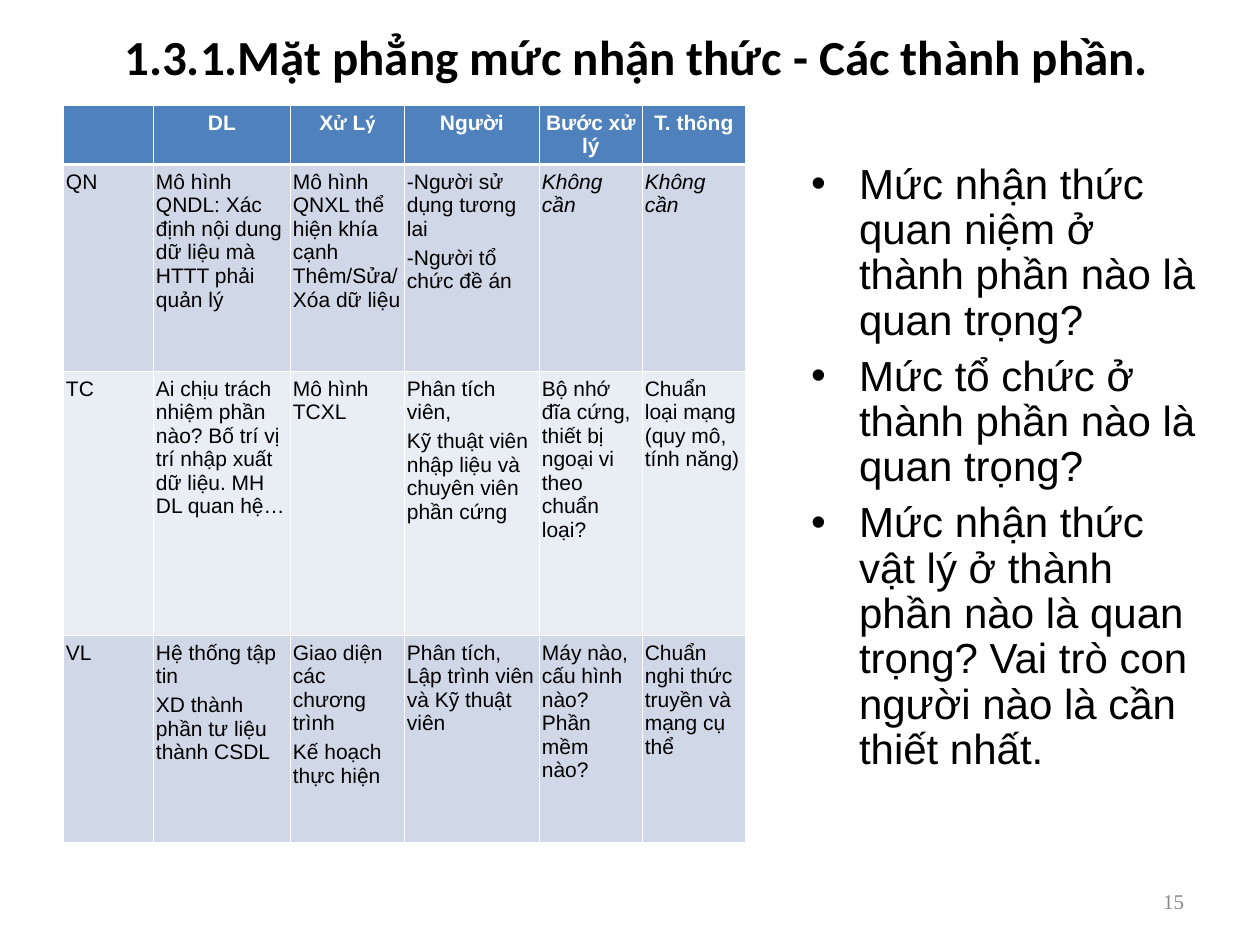
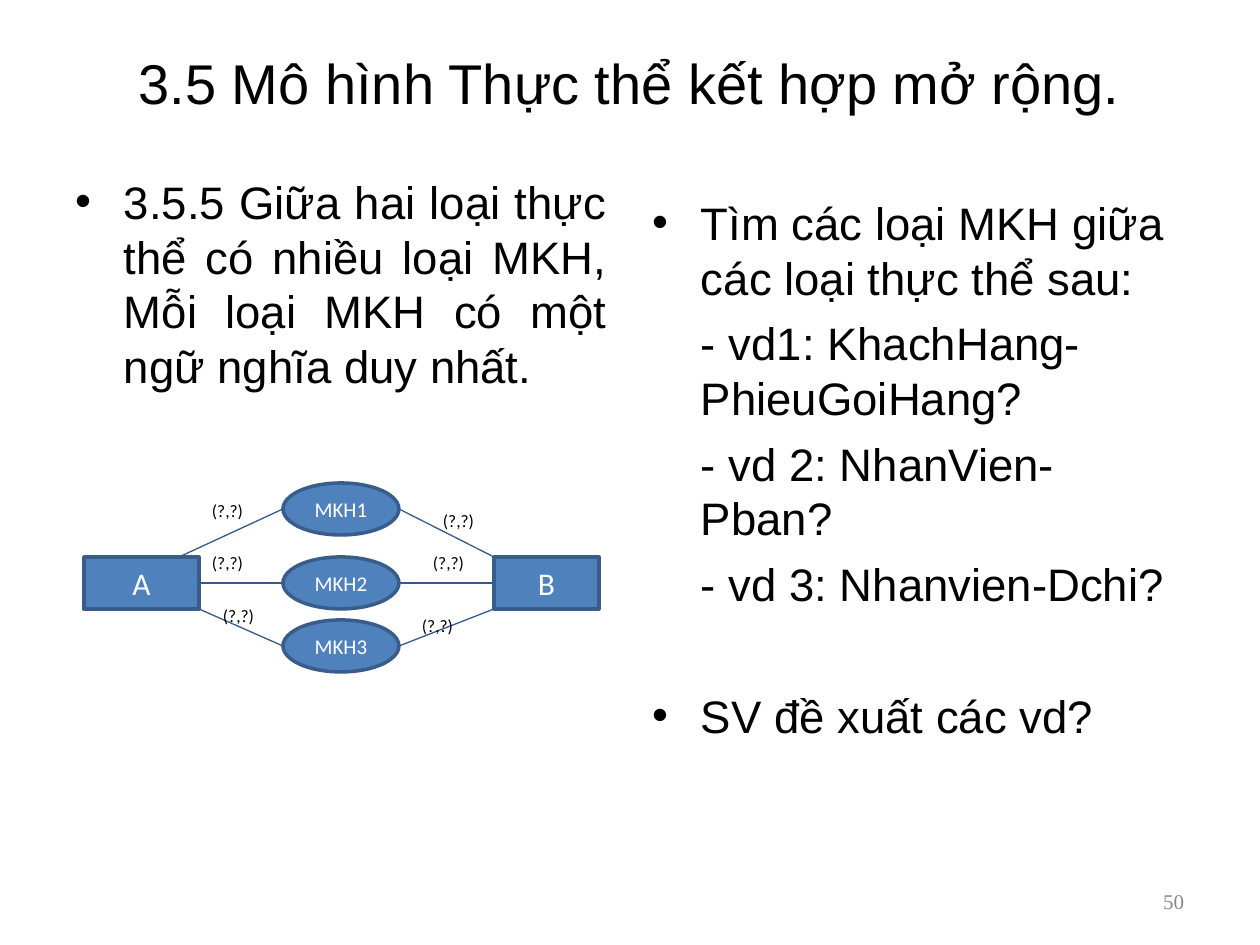
from lxml import etree
from pptx import Presentation
from pptx.dml.color import RGBColor
from pptx.enum.shapes import MSO_CONNECTOR, MSO_SHAPE
from pptx.enum.text import MSO_ANCHOR, PP_ALIGN
from pptx.oxml.ns import qn
from pptx.util import Emu, Pt

LEFT, CENTER, RIGHT, JUSTIFY = PP_ALIGN.LEFT, PP_ALIGN.CENTER, PP_ALIGN.RIGHT, PP_ALIGN.JUSTIFY
TOP, MIDDLE = MSO_ANCHOR.TOP, MSO_ANCHOR.MIDDLE
RECTANGLE, ELLIPSE = MSO_SHAPE.RECTANGLE, MSO_SHAPE.OVAL
STRAIGHT = MSO_CONNECTOR.STRAIGHT
LEFT_SIDE, RIGHT_SIDE = 1, 3

EMU_PER_PX = 914400 / 126
TITLE_ONLY = 5
BODY_INDENT = 48
SIDE_INSET, END_INSET = 13, 6
COLORS = {
    "text": "000000",
    "white": "FFFFFF",
    "accent": "4F81BD",
    "outline": "385D8A",
    "link": "325B8C",
    "band_dark": "D0D8E8",
    "band_light": "E9EDF4",
    "page": "898989",
}

HEADERS = ["", "DL", "X|ử| L|ý", "Người", "Bước xử lý", "T. th|ô|ng"]
COLUMN_WIDTHS = [90, 137, 114, 135, 103, 103]
ROW_HEIGHTS = [58, 207, 264, 207]
LEVELS = [
    ["QN", "Mô hình QNDL: Xác định nội dung dữ liệu mà HTTT phải quản lý",
     "Mô hình QNXL thể hiện khía cạnh Thêm/Sửa/Xóa dữ liệu",
     "-Người sử dụng tương lai\n-Người tổ chức đề án", "Không cần", "Không cần"],
    ["TC", "Ai chịu trách nhiệm phần nào? Bố trí vị trí nhập xuất dữ liệu. MH DL quan hệ…",
     "Mô hình TCXL",
     "Phân tích viên,\nKỹ thuật viên nhập liệu và chuyên viên phần cứng",
     "Bộ nhớ đĩa cứng, thiết bị ngoại vi theo chuẩn loại?",
     "Chuẩn loại mạng (quy mô, tính năng)"],
    ["VL", "Hệ thống tập tin\nXD thành phần tư liệu thành CSDL",
     "Giao diện các chương trình\nKế hoạch thực hiện",
     "Phân tích, Lập trình viên và Kỹ thuật viên",
     "Máy nào, cấu hình nào? Phần mềm nào?",
     "Chuẩn nghi thức truyền và mạng cụ thể"],
]
QUESTIONS = [
    "Mức nhận thức quan niệm ở thành phần nào là quan trọng?",
    "Mức tổ chức ở thành phần nào là quan trọng?",
    "Mức nhận thức vật lý ở thành phần nào là quan trọng? "
    "Vai trò con người nào là cần thiết nhất.",
]
DEFINITION = ("3.5.5 Giữa hai loại thực thể có nhiều loại MKH, "
              "Mỗi loại MKH có một ngữ nghĩa duy nhất.")
EXERCISES = [
    "Tìm các loại MKH giữa các loại thực thể sau:",
    "- vd1: KhachHang-PhieuGoiHang?",
    "- vd 2: NhanVien-Pban?",
    "- vd 3: Nhanvien-Dchi?",
    "SV đề xuất các vd?",
]


def px(value):
    return Emu(round(value * EMU_PER_PX))


def color(name):
    return RGBColor.from_string(COLORS[name])


def set_font(font, size, name="Arial", color_name="text", bold=False, italic=False):
    font.size = Pt(size)
    font.name = name
    font.bold = bold
    font.italic = italic
    font.color.rgb = color(color_name)


def set_frame(frame, anchor=TOP):
    frame.word_wrap = True
    frame.vertical_anchor = anchor
    frame.margin_left = frame.margin_right = px(SIDE_INSET)
    frame.margin_top = frame.margin_bottom = px(END_INSET)


def add_title_slide(presentation, title, box, size, font_name, bold, page):
    slide = presentation.slides.add_slide(presentation.slide_layouts[TITLE_ONLY])
    shape = slide.shapes.title
    shape.left, shape.top, shape.width, shape.height = map(px, box)
    set_frame(shape.text_frame, MIDDLE)
    paragraph = shape.text_frame.paragraphs[0]
    paragraph.text = title
    paragraph.alignment = CENTER
    set_font(paragraph.font, size, font_name, bold=bold)
    add_label(slide, page, (903, 876, 294, 50), 12, "Times New Roman", "page", RIGHT, MIDDLE)
    return slide


def add_label(slide, text, box, size, font_name, color_name="text", alignment=LEFT, anchor=TOP):
    frame = slide.shapes.add_textbox(*map(px, box)).text_frame
    set_frame(frame, anchor)
    paragraph = frame.paragraphs[0]
    paragraph.text = text
    paragraph.alignment = alignment
    set_font(paragraph.font, size, font_name, color_name)


def set_indent(paragraph, bulleted):
    properties = paragraph._p.get_or_add_pPr()
    properties.set("marL", str(px(BODY_INDENT)))
    properties.set("indent", str(-px(BODY_INDENT) if bulleted else 0))
    if bulleted:
        etree.SubElement(properties, qn("a:buFont"), typeface="Arial")
        etree.SubElement(properties, qn("a:buChar"), char="•")
    else:
        etree.SubElement(properties, qn("a:buNone"))


def add_body(slide, texts, box, size, gap, alignment=LEFT, line_spacing=None):
    frame = slide.shapes.add_textbox(*map(px, box)).text_frame
    set_frame(frame)
    for index, text in enumerate(texts):
        paragraph = frame.add_paragraph() if index else frame.paragraphs[0]
        paragraph.text = text
        set_indent(paragraph, not text.startswith("- "))
        paragraph.alignment = alignment
        if line_spacing:
            paragraph.line_spacing = line_spacing
        if index:
            paragraph.space_before = Pt(gap)
        set_font(paragraph.font, size)
    return frame


def set_borders(cell, top, bottom):
    properties = cell._tc.get_or_add_tcPr()
    widths = {"a:lnL": 0.45, "a:lnR": 0.45, "a:lnT": top, "a:lnB": bottom}
    for index, (tag, width) in enumerate(widths.items()):
        line = etree.Element(qn(tag), w=str(Pt(width)))
        fill = etree.SubElement(line, qn("a:solidFill"))
        etree.SubElement(fill, qn("a:srgbClr"), val=COLORS["white"])
        properties.insert(index, line)


def fill_header(cell, text):
    paragraph = cell.text_frame.paragraphs[0]
    paragraph.alignment = CENTER
    for index, part in enumerate(text.split("|")):
        run = paragraph.add_run()
        run.text = part
        set_font(run.font, 12, "Calibri" if index % 2 else "Arial", "white", bold=True)


def fill_body_cell(cell, text):
    for index, line in enumerate(text.split("\n")):
        frame = cell.text_frame
        paragraph = frame.add_paragraph() if index else frame.paragraphs[0]
        paragraph.text = line
        if index:
            paragraph.space_before = Pt(3)
        set_font(paragraph.font, 12, italic=text == "Không cần")


def add_level_table(slide, left, top):
    rows = [HEADERS] + LEVELS
    size = (sum(COLUMN_WIDTHS), sum(ROW_HEIGHTS))
    table = slide.shapes.add_table(len(rows), len(HEADERS), *map(px, (left, top, *size))).table
    for column, width in zip(table.columns, COLUMN_WIDTHS):
        column.width = px(width)
    for row_index, texts in enumerate(rows):
        table.rows[row_index].height = px(ROW_HEIGHTS[row_index])
        band = "band_dark" if row_index % 2 else "band_light"
        for column_index, text in enumerate(texts):
            cell = table.cell(row_index, column_index)
            cell.margin_left, cell.margin_right = px(3), px(2)
            cell.margin_top, cell.margin_bottom = px(6), px(3)
            cell.fill.solid()
            cell.fill.fore_color.rgb = color(band if row_index else "accent")
            set_borders(cell, 1.47 if row_index == 1 else 0.45, 0.45 if row_index else 1.47)
            if row_index:
                fill_body_cell(cell, text)
            elif text:
                fill_header(cell, text)
            else:
                set_font(cell.text_frame.paragraphs[0].font, 12)


def add_node(slide, preset, text, box, size):
    shape = slide.shapes.add_shape(preset, *map(px, box))
    shape.shadow.inherit = False
    shape.fill.solid()
    shape.fill.fore_color.rgb = color("accent")
    shape.line.color.rgb = color("outline")
    shape.line.width = Pt(2)
    set_frame(shape.text_frame, MIDDLE)
    paragraph = shape.text_frame.paragraphs[0]
    paragraph.text = text
    paragraph.alignment = CENTER
    set_font(paragraph.font, size, "Calibri", "white")
    return shape


def add_link(slide, start, end):
    connector = slide.shapes.add_connector(STRAIGHT, *map(px, (*start, *end)))
    connector.line.color.rgb = color("link")
    connector.line.width = Pt(0.75)
    etree.SubElement(connector._element.spPr, qn("a:effectLst"))
    return connector


def add_relationship_diagram(slide):
    node_height, row_tops = 52, [483, 557, 620]
    entity_top = row_tops[1]
    entity_bottom = entity_top + node_height
    entity_a = add_node(slide, RECTANGLE, "A", (84, entity_top, 115, node_height), 18)
    entity_b = add_node(slide, RECTANGLE, "B", (494, entity_top, 105, node_height), 18)
    middles = [top + node_height // 2 for top in row_tops]
    a_ends = [(179, entity_top), (199, middles[1]), (199, entity_bottom)]
    b_ends = [(494, entity_top), (494, middles[1]), (494, entity_bottom)]
    for number, (top, middle) in enumerate(zip(row_tops, middles)):
        add_node(slide, ELLIPSE, f"MKH{number + 1}", (283, top, 116, node_height), 12)
        left_link = add_link(slide, a_ends[number], (283, middle))
        right_link = add_link(slide, (399, middle), b_ends[number])
        if number == 1:
            left_link.begin_connect(entity_a, RIGHT_SIDE)
            right_link.end_connect(entity_b, LEFT_SIDE)
    for left, top in [(199, 494), (199, 546), (210, 599), (430, 504), (420, 546), (409, 609)]:
        add_label(slide, "(?,?)", (left, top, 63, 34), 10, "Calibri")


def main():
    presentation = Presentation()
    presentation.slide_width, presentation.slide_height = px(1260), px(945)

    slide = add_title_slide(presentation, "1.3.1.Mặt phẳng mức nhận thức - Các thành phần.",
                            (69, 17, 1134, 77), 28, "Calibri", True, "15")
    add_level_table(slide, 63, 105)
    add_body(slide, QUESTIONS, (798, 157, 420, 624), 24, 6, line_spacing=0.9)

    slide = add_title_slide(presentation, "3.5 Mô hình Thực thể kết hợp mở rộng.",
                            (63, 38, 1134, 88), 32, "Arial", False, "50")
    add_body(slide, [DEFINITION], (63, 168, 557, 262), 26, 6.5, JUSTIFY)
    exercises = add_body(slide, EXERCISES, (640, 189, 557, 655), 26, 6.5)
    exercises.paragraphs[-1].space_before = Pt(44)
    add_relationship_diagram(slide)

    presentation.save("out.pptx")


if __name__ == "__main__":
    main()
